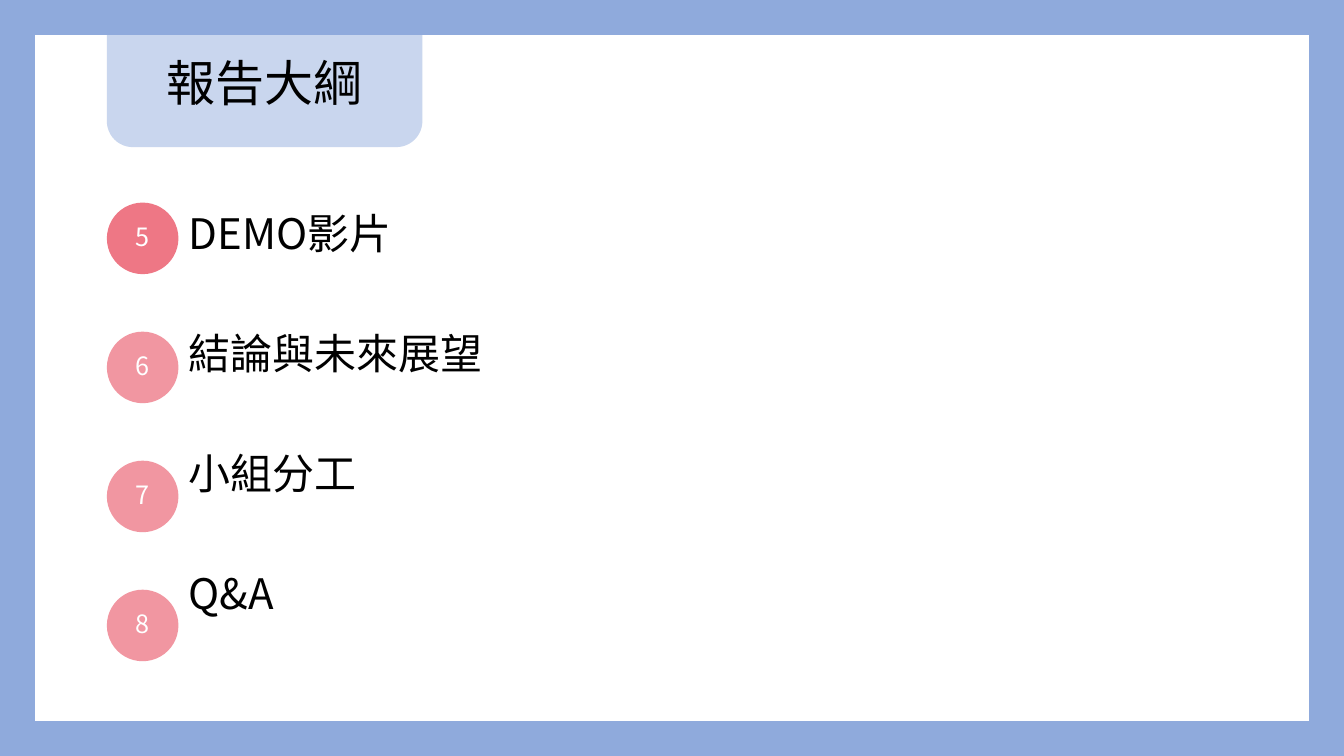
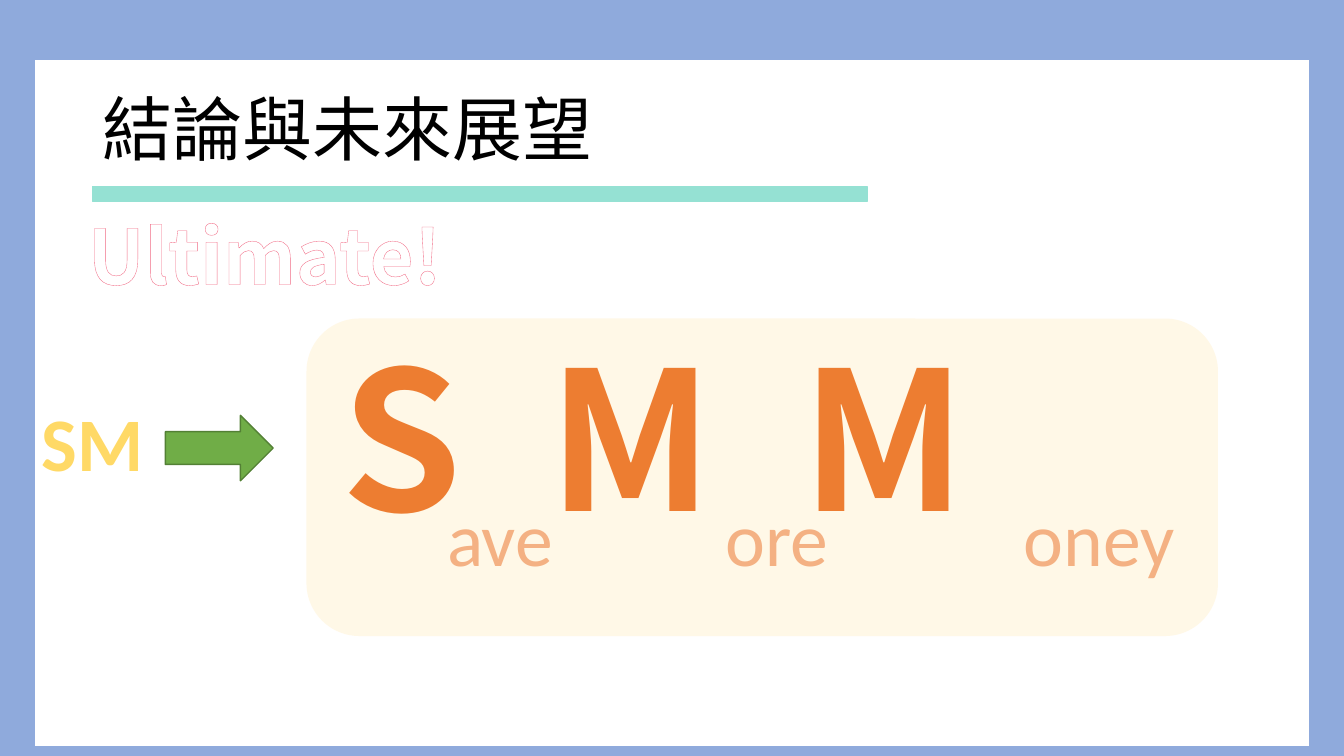
from dataclasses import dataclass

from lxml import etree
from pptx import Presentation
from pptx.dml.color import RGBColor
from pptx.enum.shapes import MSO_SHAPE
from pptx.enum.text import MSO_ANCHOR, MSO_AUTO_SIZE, PP_ALIGN
from pptx.oxml import parse_xml
from pptx.oxml.ns import nsdecls, qn
from pptx.util import Inches, Pt


@dataclass(frozen=True)
class Theme:
    cjk: str = "Noto Sans CJK SC"
    latin: str = "Calibri"
    blue: str = "8FAADC"
    pink: str = "EE7785"
    rose: str = "F16B85"
    mint: str = "95E1D3"
    cream: str = "FFF7E1"
    orange: str = "ED7D31"
    peach: str = "F4B183"
    gold: str = "FFC000"
    green: str = "70AD47"
    moss: str = "538035"
    black: str = "000000"
    white: str = "FFFFFF"
    badge: int = 18
    item: int = 30
    tab: int = 35
    head: int = 50
    word: int = 54
    giant: int = 138
    edge: int = 50
    tight: float = 0.88


T = Theme()


def draw(slide, kind, box, fill=None, alpha=100, line=None, width=1):
    """Add a flat preset shape; box is in inches, alpha in percent."""
    shape = slide.shapes.add_shape(kind, *map(Inches, box))
    shape.shadow.inherit = False
    if fill:
        shape.fill.solid()
        shape.fill.fore_color.rgb = RGBColor.from_string(fill)
        if alpha < 100:
            color = shape.element.spPr.find(".//" + qn("a:srgbClr"))
            etree.SubElement(color, qn("a:alpha")).set("val", str(alpha * 1000))
    else:
        shape.fill.background()
    if line:
        shape.line.color.rgb = RGBColor.from_string(line)
        shape.line.width = Pt(width)
    else:
        shape.line.fill.background()
    return shape


def write(para, text, size, color, face=T.cjk, align=PP_ALIGN.CENTER, bold=False):
    """Add one styled run to a paragraph and return it."""
    para.alignment = align
    if face == T.cjk:
        para.line_spacing = T.tight
    run = para.add_run()
    run.text = text
    font = run.font
    font.size = Pt(size)
    font.bold = bold
    font.color.rgb = RGBColor.from_string(color)
    font.name = face
    etree.SubElement(run._r.get_or_add_rPr(), qn("a:ea")).set("typeface", face)
    return run


deck = Presentation()
deck.slide_width, deck.slide_height = Inches(13.33), Inches(7.5)

# Shared frame and title: layout, frame top, title, box, size, alignment
pages = [
    (1, 0, "報告大綱", (1.51, 0.55, 2.23, 0.69), T.tab, PP_ALIGN.CENTER),
    (5, 0.25, "結論與未來展望", (0.92, 0.91, 8.94, 0.94), T.head, PP_ALIGN.LEFT),
]
for layout, top, text, box, size, align in pages:
    slide = deck.slides.add_slide(deck.slide_layouts[layout])
    title = slide.shapes.title
    title.left, title.top, title.width, title.height = map(Inches, box)
    title.text_frame.auto_size = MSO_AUTO_SIZE.NONE
    title.text_frame.vertical_anchor = MSO_ANCHOR.TOP
    write(title.text_frame.paragraphs[0], text, size, T.black, align=align)
    draw(slide, MSO_SHAPE.RECTANGLE, (0, top, 13.33, 7.5), line=T.blue, width=T.edge)

# Outline slide
plan, close = deck.slides
tab = draw(plan, MSO_SHAPE.ROUNDED_RECTANGLE, (1.06, -0.09, 3.13, 1.55), T.blue, 48)
plan.shapes.title.element.addprevious(tab.element)

items = ["DEMO影片", "結論與未來展望", "小組分工", "Q&A"]
first, pitch = 5, 1.28
body = plan.placeholders[1]
body.left, body.top, body.width, body.height = map(Inches, (1.77, 2.07, 3.35, 4.46))
frame = body.text_frame
frame.auto_size = MSO_AUTO_SIZE.NONE
frame.vertical_anchor = MSO_ANCHOR.TOP
for i, item in enumerate(items):
    para = frame.add_paragraph() if i else frame.paragraphs[0]
    props = para._p.get_or_add_pPr()
    props.set("marL", "0")
    props.set("indent", "0")
    etree.SubElement(props, qn("a:buNone"))
    para.space_before = Pt(54 if i else 0)
    write(para, item, T.item, T.black, align=PP_ALIGN.LEFT)

    box = (1.06, 2.01 + i * pitch, 0.71, 0.71)
    badge = draw(plan, MSO_SHAPE.OVAL, box, T.pink, 77 if i else 100)
    badge.text_frame.vertical_anchor = MSO_ANCHOR.MIDDLE
    write(badge.text_frame.paragraphs[0], str(first + i), T.badge, T.white)

# Conclusion slide
draw(close, MSO_SHAPE.RECTANGLE, (0.92, 1.85, 7.68, 0.15), T.mint, line=T.mint)
draw(close, MSO_SHAPE.ROUNDED_RECTANGLE, (3.04, 3.16, 9.04, 3.15), T.cream, 80)

big = close.shapes.add_textbox(*map(Inches, (3.29, 3.41, 8.03, 2.42)))
big.text_frame.word_wrap = True
para = big.text_frame.paragraphs[0]
stops = etree.SubElement(para._p.get_or_add_pPr(), qn("a:tabLst"))
for pos in (2.05, 4.56):
    stop = etree.SubElement(stops, qn("a:tab"))
    stop.set("pos", str(Inches(pos)))
    stop.set("algn", "l")
write(para, "S\tM\tM", T.giant, T.orange, align=PP_ALIGN.LEFT, bold=True)

words = [
    ("ave", (4.33, 4.82, 1.26, 1.01), T.peach, T.latin, None),
    ("ore", (7.09, 4.82, 1.23, 1.01), T.peach, T.latin, None),
    ("oney", (10.04, 4.82, 1.72, 1.01), T.peach, T.latin, None),
    ("Ultimate!", (0.75, 2.14, 3.75, 1.01), T.white, T.cjk, (T.rose, 0.52)),
    ("SM", (0.31, 3.88, 1.22, 1.01), T.gold, T.latin, (T.gold, 1)),
]
for text, box, color, face, rim in words:
    label = close.shapes.add_textbox(*map(Inches, box))
    label.text_frame.word_wrap = False
    label.text_frame.auto_size = MSO_AUTO_SIZE.SHAPE_TO_FIT_TEXT
    para = label.text_frame.paragraphs[0]
    run = write(para, text, T.word, color, face, bold=bool(rim))
    if rim:
        hue, width = rim
        run._r.rPr.insert(0, parse_xml(
            f'<a:ln {nsdecls("a")} w="{Pt(width)}"><a:solidFill>'
            f'<a:srgbClr val="{hue}"/></a:solidFill></a:ln>'))

# The last word, SM, is filled with a gradient
shades = "".join(
    f'<a:gs pos="{pos * 1000}"><a:srgbClr val="{hue}"/></a:gs>'
    for pos, hue in ((0, T.gold), (4, "FFD966"), (87, "FFF2CC")))
solid = run._r.rPr.find(qn("a:solidFill"))
run._r.rPr.replace(solid, parse_xml(
    f'<a:gradFill {nsdecls("a")}><a:gsLst>{shades}</a:gsLst>'
    '<a:lin ang="5400000"/></a:gradFill>'))

draw(close, MSO_SHAPE.RIGHT_ARROW, (1.64, 4.12, 1.07, 0.65), T.green, line=T.moss)

deck.save("out.pptx")
